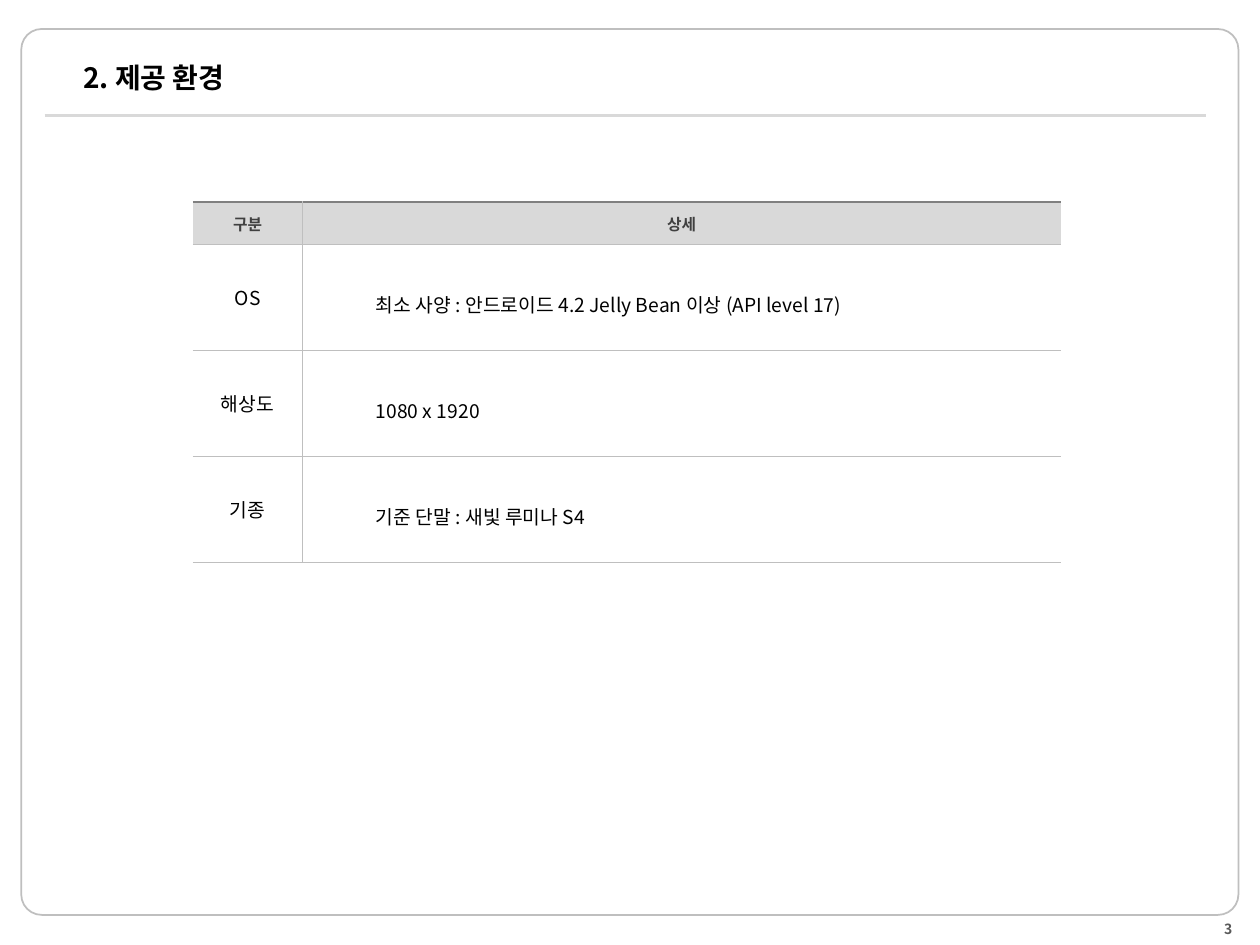
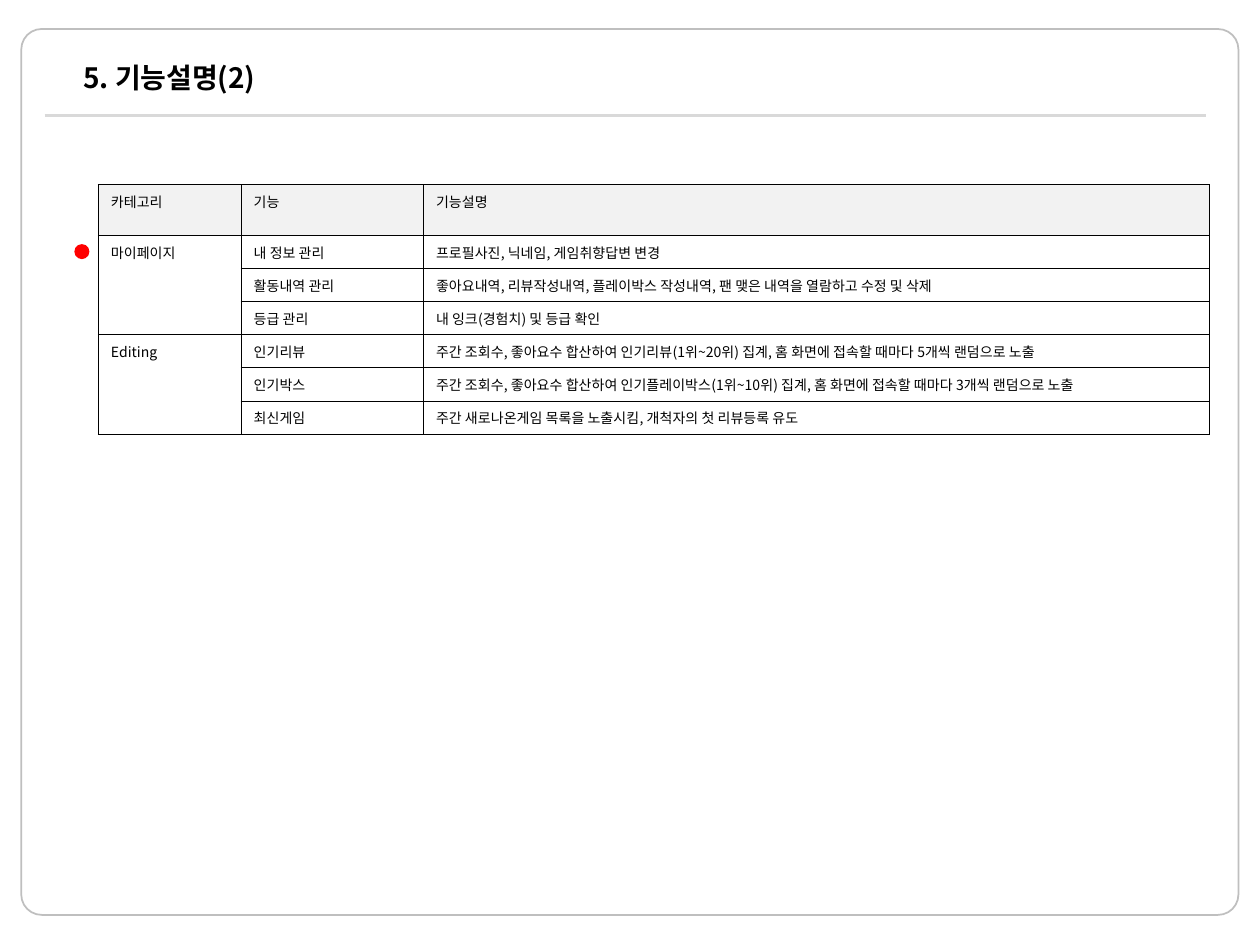
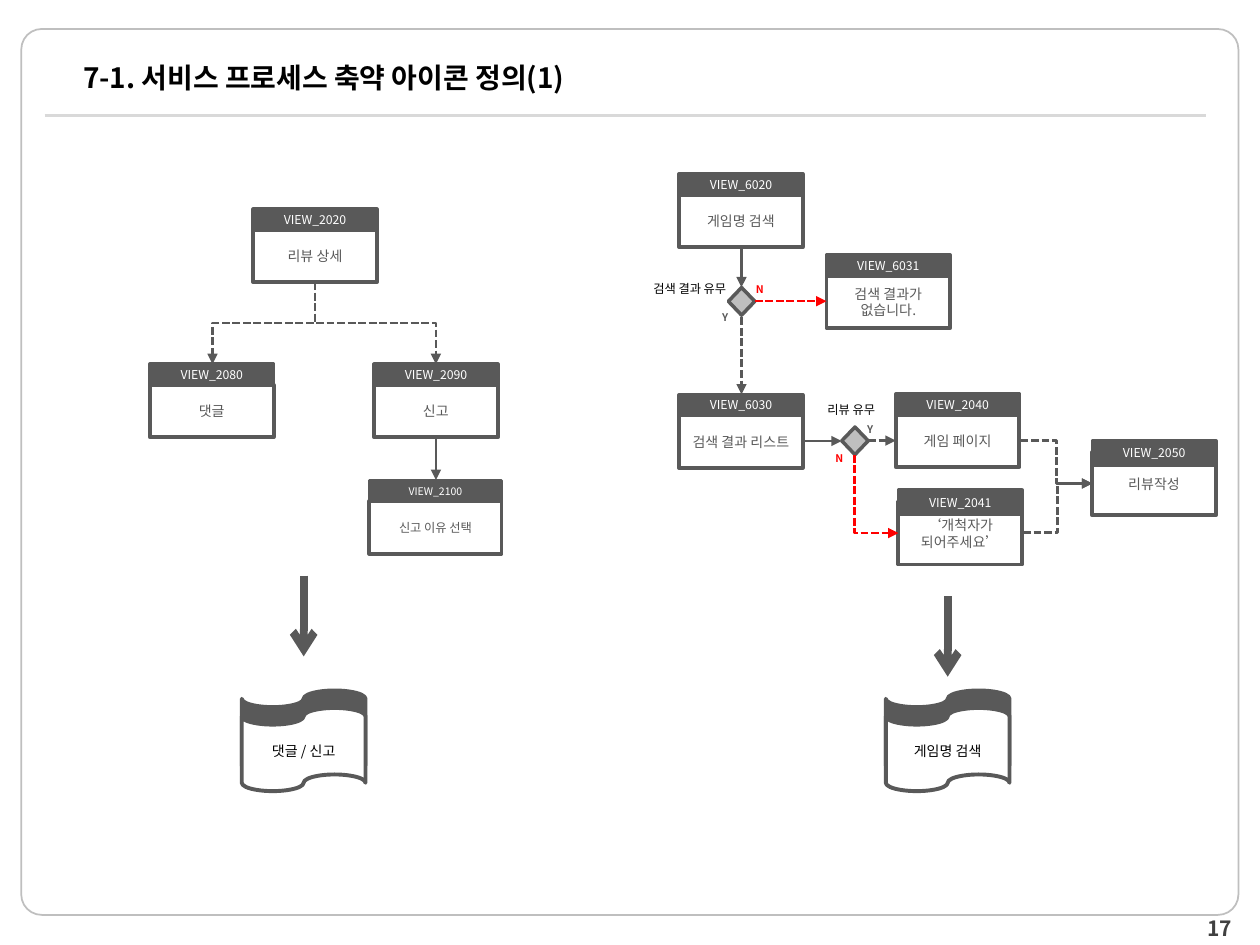
from lxml.etree import SubElement
from pptx import Presentation
from pptx.dml.color import RGBColor
from pptx.enum.dml import MSO_LINE
from pptx.enum.shapes import MSO_CONNECTOR, MSO_SHAPE
from pptx.enum.text import MSO_ANCHOR, MSO_AUTO_SIZE, PP_ALIGN
from pptx.oxml.ns import qn
from pptx.util import Pt

FONT = "Noto Sans CJK KR"
BLACK = RGBColor(0x00, 0x00, 0x00)
WHITE = RGBColor(0xFF, 0xFF, 0xFF)
RED = RGBColor(0xFF, 0x00, 0x00)
CHARCOAL = RGBColor(0x40, 0x40, 0x40)
DARK = RGBColor(0x59, 0x59, 0x59)
GRAY = RGBColor(0x80, 0x80, 0x80)
SILVER = RGBColor(0xBF, 0xBF, 0xBF)
LIGHT = RGBColor(0xD9, 0xD9, 0xD9)
PALE = RGBColor(0xF2, 0xF2, 0xF2)

ENVIRONMENT = [
    ("구분", "상세"),
    ("OS", "최소 사양 : 안드로이드 4.2 Jelly Bean 이상 (API level 17)"),
    ("해상도", "1080 x 1920"),
    ("기종", "기준 단말 : 새빛 루미나 S4"),
]

FEATURE_HEADINGS = ("카테고리", "기능", "기능설명")
FEATURES = {
    "마이페이지": [
        ("내 정보 관리", "프로필사진, 닉네임, 게임취향답변 변경"),
        ("활동내역 관리", "좋아요내역, 리뷰작성내역, 플레이박스 작성내역, 팬 맺은 내역을 열람하고 수정 및 삭제"),
        ("등급 관리", "내 잉크(경험치) 및 등급 확인"),
    ],
    "Editing": [
        ("인기리뷰", "주간 조회수, 좋아요수 합산하여 인기리뷰(1위~20위) 집계, 홈 화면에 접속할 때마다 5개씩 랜덤으로 노출"),
        ("인기박스", "주간 조회수, 좋아요수 합산하여 인기플레이박스(1위~10위) 집계, 홈 화면에 접속할 때마다 3개씩 랜덤으로 노출"),
        ("최신게임", "주간 새로나온게임 목록을 노출시킴, 개척자의 첫 리뷰등록 유도"),
    ],
}

REGULAR = dict(width=70.7, head=11.8, body_top=11.8, body=30, sizes=(7, 8))
WIDE = dict(REGULAR, width=75.6, sizes=(6, 7))
TALL = dict(REGULAR, head=13.7, body_top=6.5, body=36)
VIEWS = [
    ("VIEW_2020", "리뷰 상세", 144.7, 119.5, REGULAR),
    ("VIEW_2080", "댓글", 85.7, 208.1, REGULAR),
    ("VIEW_2090", "신고", 213.8, 208.1, REGULAR),
    ("VIEW_2100", "신고 이유 선택", 211, 274.6, WIDE),
    ("VIEW_6020", "게임명 검색", 388.1, 99.4, REGULAR),
    ("VIEW_6030", "검색 결과 리스트", 388.1, 225.6, REGULAR),
    ("VIEW_2040", "게임 페이지", 511.9, 225.2, REGULAR),
    ("VIEW_6031", "검색 결과가\n없습니다.", 472.3, 145.7, REGULAR),
    ("VIEW_2050", "리뷰작성", 624.2, 252, TALL),
    ("VIEW_2041", "‘개척자가\n되어주세요’", 513.4, 280.1, TALL),
]
DECISIONS = [(416.2, 164.3), (481, 244)]
FLOW_LABELS = [
    ("검색 결과 유무", 366.5, 157.7, 55.4, 7, BLACK, False),
    ("N", 424.8, 158.4, 18.7, 6, RED, True),
    ("Y", 405.4, 174.2, 18, 6, DARK, True),
    ("리뷰 유무", 466.6, 226.8, 39.6, 7, BLACK, False),
    ("N", 470.2, 254.9, 18.7, 6, RED, True),
    ("Y", 488.2, 238.3, 18, 6, DARK, True),
]
STRAIGHT, ACROSS, DOWN, CORNER = "straight", "across", "down", "corner"
LINKS = [
    (DOWN, (180, 161.3), (121.4, 208.1), DARK, True),
    (DOWN, (180, 161.3), (249.1, 208.1), DARK, True),
    (STRAIGHT, (249.1, 249.5), (249.1, 274.3), DARK, False),
    (STRAIGHT, (423.7, 141.1), (423.7, 164.2), DARK, False),
    (STRAIGHT, (423.7, 181.4), (423.7, 225.4), DARK, True),
    (STRAIGHT, (431.3, 172.1), (472.3, 172.1), RED, True),
    (STRAIGHT, (459.4, 252), (481, 252), DARK, False),
    (STRAIGHT, (496.1, 251.8), (511.9, 251.8), DARK, True),
    (CORNER, (488.4, 259.9), (513.4, 304.6), RED, True),
    (ACROSS, (583.2, 251.8), (624.2, 276.3), DARK, True),
    (ACROSS, (584.6, 304.4), (624.2, 276.3), DARK, True),
]
SUMMARIES = [("댓글 / 신고", 138.2, 329), ("게임명 검색", 506.2, 340.6)]


def points(*lengths):
    return [Pt(length) for length in lengths]


def write(frame, text, size=8, color=BLACK, bold=False, align=PP_ALIGN.LEFT,
          spacing=None, indent=0):
    frame.text = text
    for paragraph in frame.paragraphs:
        if indent:
            paragraph._p.get_or_add_pPr().set("marL", str(Pt(indent)))
        paragraph.alignment = align
        paragraph.line_spacing = spacing
        for run in paragraph.runs:
            run.font.size = Pt(size)
            run.font.bold = bold
            run.font.color.rgb = color
            run.font.name = FONT
            SubElement(run._r.get_or_add_rPr(), qn("a:ea"), typeface=FONT)


def set_margins(holder, side, end):
    holder.margin_left = holder.margin_right = Pt(side)
    holder.margin_top = holder.margin_bottom = Pt(end)


def add_block(shapes, kind, box, fill=None, line=None, weight=2.25):
    block = shapes.add_shape(kind, *points(*box))
    block.shadow.inherit = False
    if fill is None:
        block.fill.background()
    else:
        block.fill.solid()
        block.fill.fore_color.rgb = fill
    if line is None:
        block.line.fill.background()
    else:
        block.line.color.rgb = line
        block.line.width = Pt(weight)
    return block


def add_label(shapes, text, box, margins=(7.2, 3.6), **style):
    frame = shapes.add_textbox(*points(*box)).text_frame
    set_margins(frame, *margins)
    frame.word_wrap = False
    frame.auto_size = MSO_AUTO_SIZE.SHAPE_TO_FIT_TEXT
    write(frame, text, align=PP_ALIGN.CENTER, **style)


def add_link(slide, route, start, end, color, dashed=False, weight=1.5, tip="triangle"):
    (x1, y1), (x2, y2) = start, end
    turned = route in (DOWN, CORNER)
    if turned:
        turn = 1 if x2 < x1 else -1
        middle_x, middle_y = (x1 + x2) / 2, (y1 + y2) / 2
        half_run, half_rise = (y2 - y1) / 2, abs(x2 - x1) / 2
        x1, x2 = middle_x - turn * half_run, middle_x + turn * half_run
        y1, y2 = middle_y - half_rise, middle_y + half_rise
    kind = MSO_CONNECTOR.STRAIGHT if route == STRAIGHT else MSO_CONNECTOR.ELBOW
    link = slide.shapes.add_connector(kind, *points(x1, y1, x2, y2))
    properties = link.element.spPr
    if turned:
        properties.find(qn("a:xfrm")).set("rot", str((90 if turn == 1 else 270) * 60000))
    if route == CORNER:
        properties.find(qn("a:prstGeom")).set("prst", "bentConnector2")
    link.line.color.rgb = color
    link.line.width = Pt(weight)
    if dashed:
        link.line.dash_style = MSO_LINE.SQUARE_DOT
    if tip:
        SubElement(properties.find(qn("a:ln")), qn("a:tailEnd"), type=tip)
    SubElement(properties, qn("a:effectLst"))
    return link


def add_grid(slide, left, top, widths, heights):
    table = slide.shapes.add_table(
        len(heights), len(widths), *points(left, top, sum(widths), sum(heights))).table
    table.first_row = table.horz_banding = False
    for column, width in zip(table.columns, widths):
        column.width = Pt(width)
    for row, height in zip(table.rows, heights):
        row.height = Pt(height)
    return table


def paint_cell(cell, edges, fill=None):
    properties = cell._tc.get_or_add_tcPr()
    for side in "LRTB":
        edge = SubElement(properties, qn("a:ln" + side))
        if edges.get(side):
            color, weight = edges[side]
            edge.set("w", str(Pt(weight)))
            SubElement(SubElement(edge, qn("a:solidFill")), qn("a:srgbClr"), val=str(color))
        else:
            SubElement(edge, qn("a:noFill"))
    if fill is None:
        cell.fill.background()
    else:
        cell.fill.solid()
        cell.fill.fore_color.rgb = fill


def prepare_layout(layout):
    for placeholder in list(layout.placeholders)[1:]:
        placeholder.element.getparent().remove(placeholder.element)
    title = layout.placeholders[0]
    title.left, title.top, title.width, title.height = points(40.3, 13, 638.6, 61.9)


def share_frame(slide, layout):
    frame = add_block(slide.shapes, MSO_SHAPE.ROUNDED_RECTANGLE,
                      (12.2, 16.6, 695.5, 506.2), line=SILVER, weight=1)
    frame.adjustments[0] = 0.023
    rule = add_link(slide, STRAIGHT, (25.5, 66), (689, 66), LIGHT, tip=None)
    for part in (frame, rule):
        layout.shapes.element.append(part.element)


def add_page(deck, layout, title, number=None, size=8, color=DARK):
    slide = deck.slides.add_slide(layout)
    heading = slide.shapes.title.text_frame
    heading.auto_size = MSO_AUTO_SIZE.NONE
    heading.vertical_anchor = MSO_ANCHOR.MIDDLE
    write(heading, title, size=16, bold=True)
    if number:
        folio = slide.shapes.add_textbox(*points(542.9, 524.9, 167.8, 11.5)).text_frame
        folio.word_wrap = True
        folio.vertical_anchor = MSO_ANCHOR.MIDDLE
        set_margins(folio, 6.5, 3)
        write(folio, number, size=size, color=color, bold=True, align=PP_ALIGN.RIGHT)
    return slide


def fill_environment(slide):
    table = add_grid(slide, 110.2, 115.6, (62.6, 433.4), (24, 60.6, 60.6, 60.6))
    hairline = (SILVER, 0.25)
    for r, row in enumerate(ENVIRONMENT):
        for c, text in enumerate(row):
            cell = table.cell(r, c)
            cell.vertical_anchor = MSO_ANCHOR.MIDDLE
            set_margins(cell, 6, 3.6)
            edges = {"T": hairline if r else (GRAY, 1.5), "B": hairline,
                     "L" if c else "R": hairline}
            paint_cell(cell, edges, None if r else LIGHT)
            if r == 0:
                style = dict(size=9, color=CHARCOAL, bold=True, align=PP_ALIGN.CENTER)
            elif c == 0:
                style = dict(size=11, align=PP_ALIGN.CENTER)
            else:
                style = dict(size=11, spacing=1.5, indent=36)
            write(cell.text_frame, text, **style)


def fill_features(slide):
    rows = [FEATURE_HEADINGS]
    for category, features in FEATURES.items():
        rows += [(category if i == 0 else "", *feature) for i, feature in enumerate(features)]
    table = add_grid(slide, 56.2, 105.5, (81.6, 104.2, 449.2), [29.2] + [17.2] * (len(rows) - 1))
    edges = dict.fromkeys("LRTB", (BLACK, 0.5))
    for r, row in enumerate(rows):
        for c, text in enumerate(row):
            paint_cell(table.cell(r, c), edges, None if r else PALE)
            if text:
                write(table.cell(r, c).text_frame, text)
    first = 1
    for features in FEATURES.values():
        last = first + len(features) - 1
        table.cell(first, 0).merge(table.cell(last, 0))
        first = last + 1
    add_block(slide.shapes, MSO_SHAPE.OVAL, (42.5, 139.5, 8.6, 8.6), fill=RED)


def add_view(slide, code, label, left, top, form):
    code_size, label_size = form["sizes"]
    parts = [
        (label, top + form["body_top"], form["body"], WHITE, DARK, 2.25, label_size),
        (code, top, form["head"], DARK, WHITE, 2, code_size),
    ]
    for text, part_top, height, fill, color, weight, size in parts:
        block = add_block(slide.shapes, MSO_SHAPE.RECTANGLE,
                          (left, part_top, form["width"], height), fill, DARK, weight)
        frame = block.text_frame
        frame.word_wrap = True
        frame.vertical_anchor = MSO_ANCHOR.MIDDLE
        set_margins(frame, 6, 3)
        write(frame, text, size=size, color=color, align=PP_ALIGN.CENTER)


def add_summary(slide, text, left, arrow_top):
    width, top = 70.7, 394.6
    middle = left + width / 2
    tape = slide.shapes.add_group_shape().shapes
    for offset, fill in ((0, DARK), (10, WHITE)):
        add_block(tape, MSO_SHAPE.FLOWCHART_PUNCHED_TAPE,
                  (left, top + offset, width, 47.5), fill, DARK)
    add_label(tape, text, (middle - 28.5, 420.5, 57, 17))
    add_link(slide, STRAIGHT, (middle, arrow_top), (middle, arrow_top + 46.1), DARK,
             weight=4.5, tip="arrow")


def fill_process(slide):
    for view in VIEWS:
        add_view(slide, *view)
    for left, top in DECISIONS:
        add_block(slide.shapes, MSO_SHAPE.FLOWCHART_DECISION, (left, top, 15.1, 15.8),
                  SILVER, DARK, 2)
    for link in LINKS:
        add_link(slide, *link)
    for text, left, top, width, size, color, bold in FLOW_LABELS:
        margins = (7.2, 3.6) if bold else (5.8, 2.9)
        add_label(slide.shapes, text, (left, top, width, 14), margins,
                  size=size, color=color, bold=bold)
    for summary in SUMMARIES:
        add_summary(slide, *summary)


def main():
    deck = Presentation()
    deck.slide_width, deck.slide_height = points(720, 540)
    layout = deck.slide_layouts[5]
    prepare_layout(layout)
    environment = add_page(deck, layout, "2. 제공 환경", "3")
    share_frame(environment, layout)
    fill_environment(environment)
    fill_features(add_page(deck, layout, "5. 기능설명(2)"))
    fill_process(add_page(deck, layout, "7-1. 서비스 프로세스 축약 아이콘 정의(1)",
                          "17", size=12, color=CHARCOAL))
    deck.save("out.pptx")


if __name__ == "__main__":
    main()
